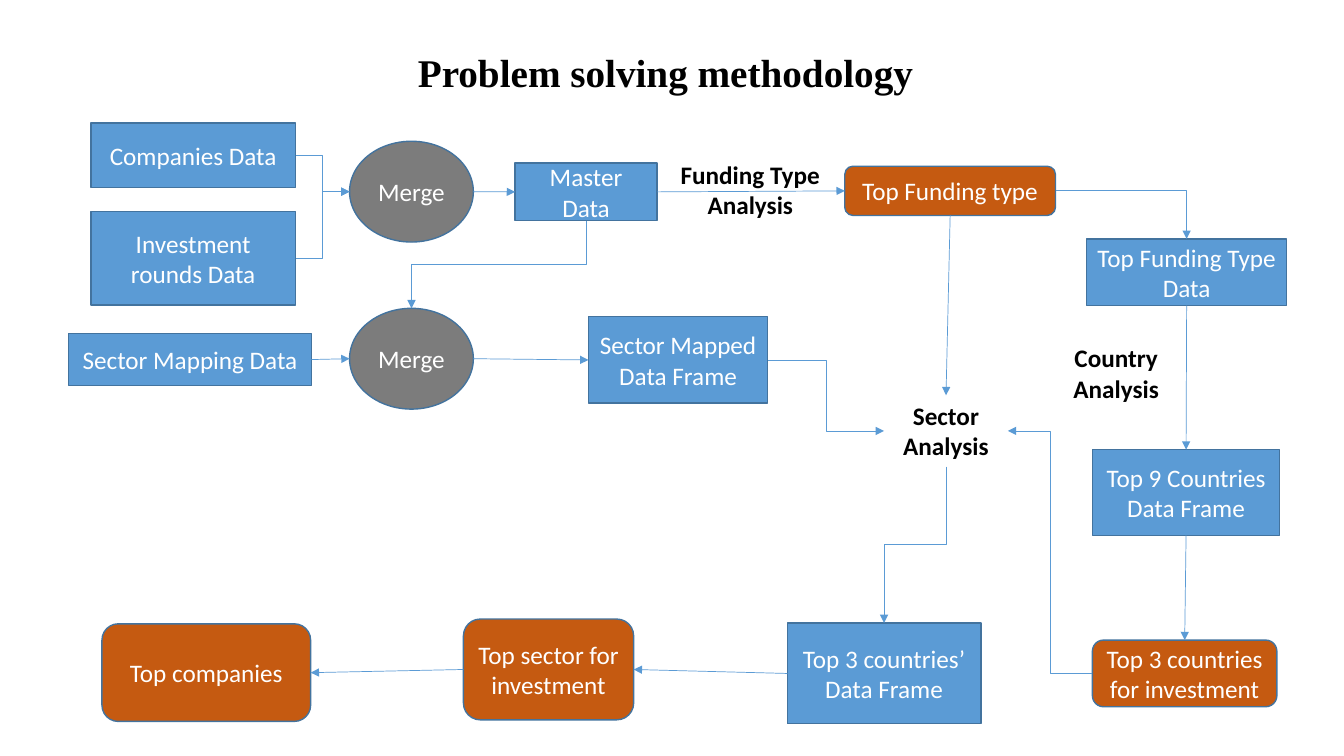
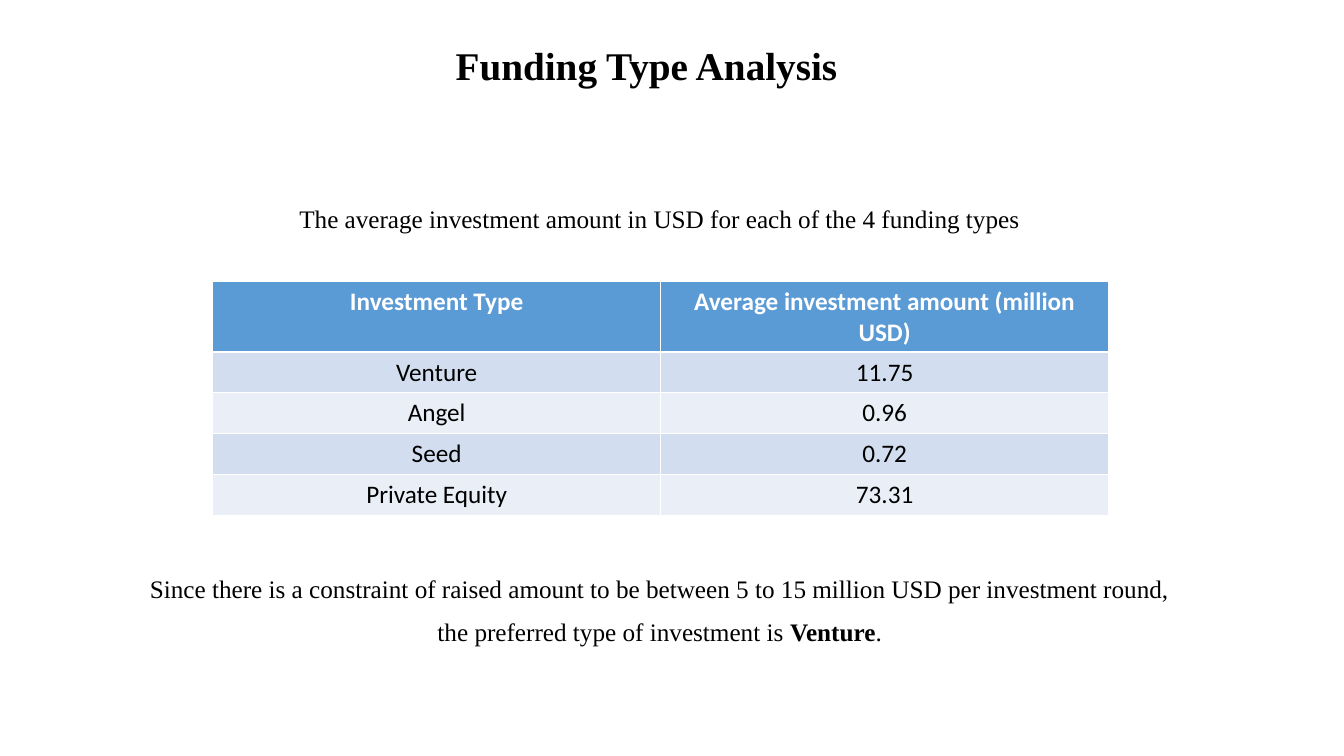
"""Builds a two-slide deck: a methodology flow chart and a funding type table."""
import lxml.etree
import pptx
import pptx.util
import pptx.dml.color
import pptx.enum.shapes
import pptx.enum.text
import pptx.oxml.ns

Cm = pptx.util.Cm
Pt = pptx.util.Pt
KIND = pptx.enum.shapes.MSO_SHAPE
LINK = pptx.enum.shapes.MSO_CONNECTOR
CENTER = pptx.enum.text.PP_ALIGN.CENTER
MIDDLE = pptx.enum.text.MSO_ANCHOR.MIDDLE
qn = pptx.oxml.ns.qn

BLUE, GRAY, ORANGE, EDGE = "5B9BD5", "7C7C7C", "C55A11", "43739E"
WHITE, BLACK = "FFFFFF", "000000"
BANDS = ["D2DEEF", "EAEFF7"]
SANS, SERIF = "Calibri", "Times New Roman"


def color(value):
    return pptx.dml.color.RGBColor.from_string(value)


def write(frame, text, font=SANS, size=18, ink=BLACK, bold=False):
    frame.word_wrap = True
    frame.text = text
    for para in frame.paragraphs:
        para.alignment = CENTER
        for span in para.runs:
            span.font.name = font
            span.font.size = Pt(size)
            span.font.bold = bold
            span.font.color.rgb = color(ink)


deck = pptx.Presentation()
deck.slide_width, deck.slide_height = Cm(33.87), Cm(19.05)

pages = []
titles = [
    ("Problem solving methodology", 3.83, 0.61),
    ("Funding Type Analysis", 3.35, 0.43),
]
for title, left, top in titles:
    page = deck.slides.add_slide(deck.slide_layouts[6])
    box = page.shapes.add_textbox(Cm(left), Cm(top), Cm(25.88), Cm(2.39))
    write(box.text_frame, title, SERIF, 28, BLACK, True)
    box.text_frame.vertical_anchor = MIDDLE
    pages.append(page)
flow, funding = pages

styles = {
    "data": (KIND.RECTANGLE, BLUE),
    "step": (KIND.OVAL, GRAY),
    "result": (KIND.ROUNDED_RECTANGLE, ORANGE),
}
nodes = {
    "companies": ("data", "Companies Data", 2.29, 3.1, 5.16, 1.63),
    "rounds": ("data", "Investment rounds Data", 2.29, 5.33, 5.16, 2.36),
    "first merge": ("step", "Merge", 8.81, 3.56, 3.12, 2.54),
    "master": ("data", "Master Data", 12.98, 4.11, 3.58, 1.45),
    "mapping": ("data", "Sector Mapping Data", 1.73, 8.41, 6.12, 1.3),
    "second merge": ("step", "Merge", 8.81, 7.77, 3.12, 2.54),
    "mapped": ("data", "Sector Mapped Data Frame", 14.83, 7.98, 4.52, 2.18),
    "top type": ("result", "Top Funding type", 21.29, 4.19, 5.31, 1.24),
    "type data": ("data", "Top Funding Type Data", 27.38, 6.02, 5.05, 1.68),
    "top nine": ("data", "Top 9 Countries Data Frame", 27.53, 11.33, 4.72, 2.16),
    "top three": ("result", "Top 3 countries for investment", 27.53, 16.13, 4.65, 1.68),
    "three data": ("data", "Top 3 countries’ Data Frame", 19.84, 15.7, 4.88, 2.54),
    "top sector": ("result", "Top sector for investment", 11.68, 15.6, 4.29, 2.54),
    "top companies": ("result", "Top companies", 2.57, 15.72, 5.26, 2.46),
    "funding label": ("label", "Funding Type\vAnalysis", 16.89, 3.89, 4.04, 1.8),
    "country label": ("label", "Country\nAnalysis", 26.77, 8.51, 2.72, 1.8),
    "sector": ("label", "Sector Analysis", 22.28, 9.96, 3.12, 1.8),
}
sides = {}
for name, (style, text, left, top, width, height) in nodes.items():
    area = Cm(left), Cm(top), Cm(width), Cm(height)
    if style == "label":
        box = flow.shapes.add_textbox(*area)
        box.text_frame.margin_left = box.text_frame.margin_right = 0
        write(box.text_frame, text, bold=True)
    else:
        kind, fill = styles[style]
        box = flow.shapes.add_shape(kind, *area)
        box.shadow.inherit = False
        box.fill.solid()
        box.fill.fore_color.rgb = color(fill)
        box.line.color.rgb = color(EDGE)
        box.line.width = Pt(1)
        write(box.text_frame, text, ink=WHITE)
        box.text_frame.vertical_anchor = MIDDLE
    sides[name] = {
        "left": (left, top + height / 2),
        "right": (left + width, top + height / 2),
        "top": (left + width / 2, top),
        "bottom": (left + width / 2, top + height),
    }

arrows = [
    ("companies", "right", "first merge", "left", "elbow"),
    ("rounds", "right", "first merge", "left", "elbow"),
    ("first merge", "right", "master", "left", "straight"),
    ("master", "right", "top type", "left", "straight"),
    ("master", "bottom", "second merge", "top", "upright"),
    ("mapping", "right", "second merge", "left", "straight"),
    ("second merge", "right", "mapped", "left", "straight"),
    ("mapped", "right", "sector", "left", "elbow"),
    ("top type", "right", "type data", "top", "corner"),
    ("top type", "bottom", "sector", "top", "straight"),
    ("type data", "bottom", "top nine", "top", "straight"),
    ("top nine", "bottom", "top three", "top", "straight"),
    ("top three", "left", "sector", "right", "elbow"),
    ("sector", "bottom", "three data", "top", "upright"),
    ("three data", "left", "top sector", "right", "straight"),
    ("top sector", "left", "top companies", "right", "straight"),
]
for source, source_side, target, target_side, route in arrows:
    x1, y1 = sides[source][source_side]
    x2, y2 = sides[target][target_side]
    if route == "upright":
        middle_x, middle_y = (x1 + x2) / 2, (y1 + y2) / 2
        half_run, half_rise = (y2 - y1) / 2, (x1 - x2) / 2
        x1, x2 = middle_x - half_run, middle_x + half_run
        y1, y2 = middle_y - half_rise, middle_y + half_rise
    kind = LINK.STRAIGHT if route == "straight" else LINK.ELBOW
    arrow = flow.shapes.add_connector(kind, Cm(x1), Cm(y1), Cm(x2), Cm(y2))
    arrow.line.color.rgb = color(BLUE)
    arrow.line.width = Pt(0.5)
    properties = arrow._element.spPr
    if route == "upright":
        properties.find(qn("a:xfrm")).set("rot", "5400000")
    if route == "corner":
        properties.find(qn("a:prstGeom")).set("prst", "bentConnector2")
    lxml.etree.SubElement(properties.find(qn("a:ln")), qn("a:tailEnd"), type="triangle")
    lxml.etree.SubElement(properties, qn("a:effectLst"))

remarks = [
    ("The average investment amount in USD for each of the 4 funding types", 4.96, 1.2),
    ("Since there is a constraint of raised amount to be between 5 to 15 million USD "
     "per investment round,\nthe preferred type of investment is ", 14.22, 2.4),
]
for text, top, height in remarks:
    box = funding.shapes.add_textbox(Cm(1.12), Cm(top), Cm(31.01), Cm(height))
    write(box.text_frame, text, SERIF)
    box.text_frame.vertical_anchor = MIDDLE
    for para in box.text_frame.paragraphs:
        para.line_spacing = 0.9
conclusion = box.text_frame.paragraphs[-1]
conclusion.space_before = Pt(11)
for text, bold in [("Venture", True), (".", False)]:
    span = conclusion.add_run()
    span.text = text
    span.font.name = SERIF
    span.font.size = Pt(18)
    span.font.bold = bold
    span.font.color.rgb = color(BLACK)

rows = [
    ("Investment Type", "Average investment amount (million USD)"),
    ("Venture", "11.75"),
    ("Angel", "0.96"),
    ("Seed", "0.72"),
    ("Private Equity", "73.31"),
]
table = funding.shapes.add_table(
    len(rows), 2, Cm(5.36), Cm(7.09), Cm(22.58), Cm(5.9)).table
for r, values in enumerate(rows):
    header = r == 0
    table.rows[r].height = Cm(1.78 if header else 1.03)
    for c, value in enumerate(values):
        cell = table.cell(r, c)
        cell.fill.solid()
        cell.fill.fore_color.rgb = color(BLUE if header else BANDS[(r - 1) % 2])
        write(cell.text_frame, value, ink=WHITE if header else BLACK, bold=header)

deck.save("out.pptx")
